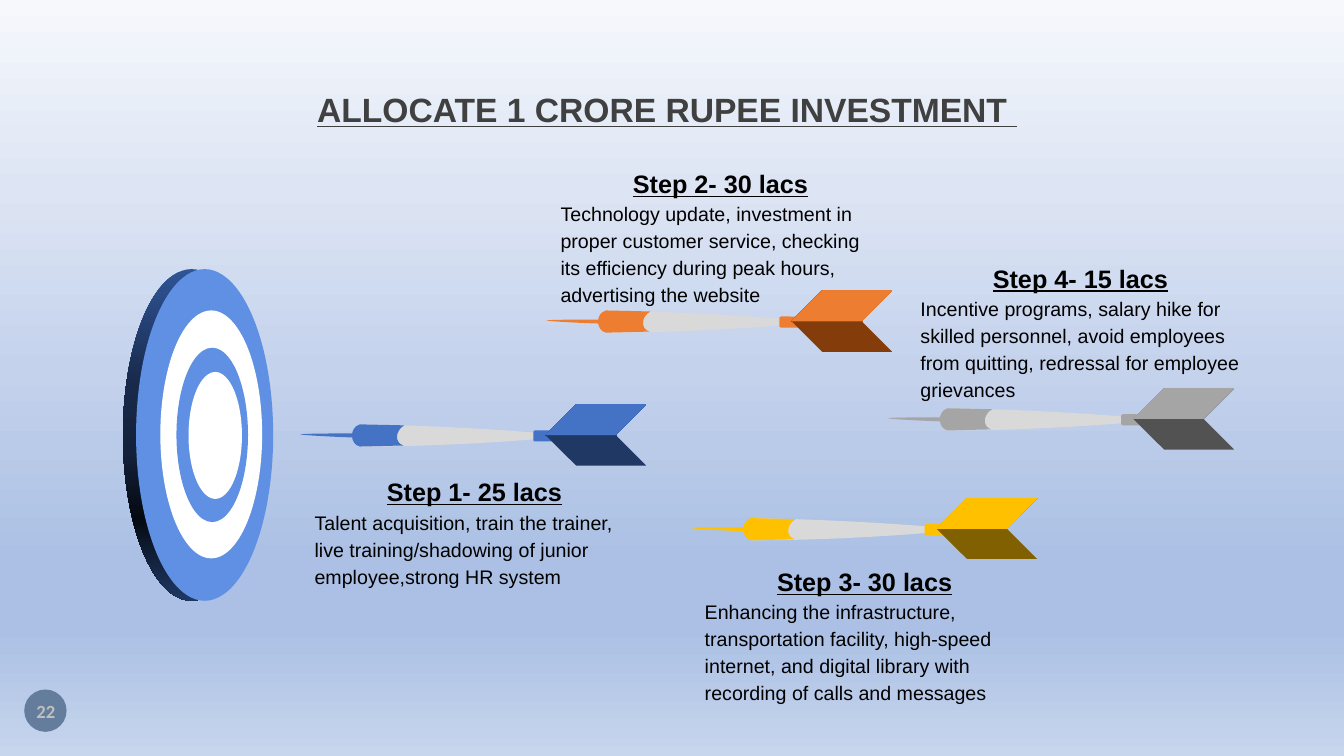
from copy import deepcopy
from pptx import Presentation
from pptx import util as u
from pptx.dml.color import RGBColor
from pptx.enum import shapes as es, text as et
from pptx.oxml.ns import qn

KIND = es.MSO_SHAPE
SKY = [(0, "F6F8FC"), (25, "DDE5F4"), (49, "C4D2EC"), (59, "BACBE9"),
       (74, "ABC0E4"), (83, "ABC0E4"), (100, "C7D5ED")]

# Dart outlines: a start point, then lines (1 point) and curves (3 points)
NEEDLE = [[(.53, .33)], [(.62, .33), (.7, .33), (.7, .31)],
          [(.7, .3), (.62, .29), (.53, .29)],
          [(.46, .29), (.03, .29), (0, .3)],
          [(.03, .31), (.46, .33), (.53, .33)]]
BODY = [[(.59, .42)], [(1.21, .42), (1.82, .39), (2.43, .34)], [(2.43, .29)],
        [(1.82, .24), (1.21, .21), (.59, .2)]]
COLLAR = [[(.59, .42)], [(1.02, .41)], [(.93, .38), (.94, .26), (1.03, .21)],
          [(.59, .2)], [(.48, .23), (.49, .4), (.59, .42)]]

# Dart corner, bright and dark colour, text corner, heading, words
STEPS = [
    (2.98, 4.01, "4472C4", "203864", 3.12, 5.03, "Step 1- 25 lacs",
     "Talent acquisition, train the trainer, live training/shadowing "
     "of junior employee,strong HR system"),
    (5.42, 2.88, "ED7D31", "843C0B", 5.56, 1.97, "Step 2- 30 lacs",
     "Technology update, investment in proper customer service, checking "
     "its efficiency during peak hours, advertising the website"),
    (6.86, 4.94, "FFC000", "806000", 6.99, 5.92, "Step 3- 30 lacs",
     "Enhancing the infrastructure, transportation facility, high-speed "
     "internet, and digital library with recording of calls and messages"),
    (8.81, 3.85, "A5A5A5", "525252", 9.13, 2.91, "Step 4- 15 lacs",
     "Incentive programs, salary hike for skilled personnel, avoid employees "
     "from quitting, redressal for employee grievances"),
]


def color(code):
    return RGBColor.from_string(code)


def shade(owner, fill, stops):
    """Gradient running from top to bottom."""
    fill.gradient()
    fill.gradient_angle = 270
    group = owner.find(".//" + qn("a:gsLst"))
    for _ in stops[2:]:
        group.append(deepcopy(group[0]))
    for stop, (place, code) in zip(fill.gradient_stops, stops):
        stop.position = place / 100
        stop.color.rgb = color(code)


def paint(shape, fill):
    shape.shadow.inherit = False
    shape.line.fill.background()
    if isinstance(fill, str):
        shape.fill.solid()
        shape.fill.fore_color.rgb = color(fill)
    else:
        shade(shape._element, shape.fill, fill)
    return shape


def add(parent, kind, box, fill):
    return paint(parent.add_shape(kind, *map(u.Inches, box)), fill)


def write(shape, words, size=14, font="Arial", code="000000", bold=False,
          line=False, mid=False, wrap=True, space=None, grow=False,
          anchor=et.MSO_ANCHOR.TOP):
    fit = et.MSO_AUTO_SIZE
    frame = shape.text_frame
    frame.margin_left = frame.margin_right = 0
    frame.margin_top = frame.margin_bottom = 0
    frame.auto_size = fit.SHAPE_TO_FIT_TEXT if grow else fit.NONE
    frame.word_wrap = wrap
    frame.vertical_anchor = anchor
    para = frame.paragraphs[0]
    para.alignment = et.PP_ALIGN.CENTER if mid else et.PP_ALIGN.LEFT
    para.line_spacing = space
    run = para.add_run()
    run.text = words
    style = run.font
    style.size, style.name = u.Pt(size), font
    style.bold, style.underline = bold, line
    style.color.rgb = color(code)


def trace(parent, x, y, outline, fill):
    """Closed outline whose three-point parts become cubic curves."""
    start, *points = [(u.Inches(x + a), u.Inches(y + b))
                      for part in outline for a, b in part]
    pen = parent.build_freeform(*start)
    pen.add_line_segments(points, close=True)
    shape = paint(pen.convert_to_shape(), fill)
    steps = iter(shape._element.findall(".//" + qn("a:lnTo")))
    for part in outline[1:]:
        lines = [next(steps) for _ in part]
        if len(part) == 3:
            curve = lines[0].makeelement(qn("a:cubicBezTo"))
            lines[0].addprevious(curve)
            for item in lines:
                curve.append(item[0])
                item.getparent().remove(item)


def draw_title(slide, x, y, w, h):
    title = slide.shapes.title
    title.left, title.top, title.width, title.height = map(
        u.Inches, (x, y, w, h))
    write(title, "ALLOCATE 1 CRORE RUPEE INVESTMENT ", size=24, code="404040",
          bold=True, line=True, mid=True, wrap=False, space=.9,
          anchor=et.MSO_ANCHOR.MIDDLE)


def draw_badge(slide, x, y, size):
    add(slide.shapes, KIND.OVAL, (x, y, size, size), "657D9D")
    box = slide.shapes.add_textbox(
        *map(u.Inches, (x - .12, y + .01, size + .25, size - .02)))
    write(box, "22", size=13.3, font="Calibri", code="BFBFBF", bold=True,
          mid=True, anchor=et.MSO_ANCHOR.MIDDLE)


def draw_target(slide, x, y):
    group = slide.shapes.add_group_shape().shapes
    # Rim, then rings from the outside in
    rim = [(0, "2F5597"), (35, "18294A"), (55, "14213B"), (75, "050A12"),
           (100, "1F3864")]
    rings = [(0, 0, 1.36, 3.29, rim), (.13, 0, 1.36, 3.29, "6090E4"),
             (.37, .41, 1.01, 2.46, "FFFFFF"),
             (.53, .78, .71, 1.73, "6090E4"), (.65, 1.02, .53, 1.26, "FFFFFF")]
    for dx, dy, w, h, fill in rings:
        add(group, KIND.OVAL, (x + dx, y + dy, w, h), fill)


def draw_dart(slide, x, y, bright, dark):
    group = slide.shapes.add_group_shape().shapes
    trace(group, x, y, NEEDLE, bright)
    trace(group, x, y, BODY, "D9D9D9")
    trace(group, x, y, COLLAR, bright)
    add(group, KIND.ROUNDED_RECTANGLE, (x + 2.31, y + .26, .33, .11), bright)
    wing = add(group, KIND.NOTCHED_RIGHT_ARROW, (x + 2.43, y, 1, .61),
               [(49, dark), (50, bright)])
    wing.adjustments[0], wing.adjustments[1] = 1, .5
    wing.rotation = 180


def draw_step(slide, x, y, head, words):
    group = slide.shapes.add_group_shape().shapes
    body = group.add_textbox(*map(u.Inches, (x, y, 3.17, 1.06)))
    write(body, words, space=1.15, grow=True)
    top = group.add_textbox(*map(u.Inches, (x + .71, y - .3, 1.75, .3)))
    write(top, head, size=18, bold=True, line=True, mid=True, wrap=False,
          grow=True)


def main():
    deck = Presentation()
    deck.slide_width, deck.slide_height = u.Inches(13.33), u.Inches(7.5)
    slide = deck.slides.add_slide(deck.slide_layouts[5])
    shade(slide._element, slide.background.fill, SKY)
    draw_title(slide, 1.44, .65, 10.35, .92)
    draw_badge(slide, .24, 6.84, .42)
    draw_target(slide, 1.22, 2.67)
    for x, y, bright, dark, *_ in STEPS:
        draw_dart(slide, x, y, bright, dark)
    for *_, x, y, head, words in STEPS:
        draw_step(slide, x, y, head, words)
    deck.save("out.pptx")


if __name__ == "__main__":
    main()
